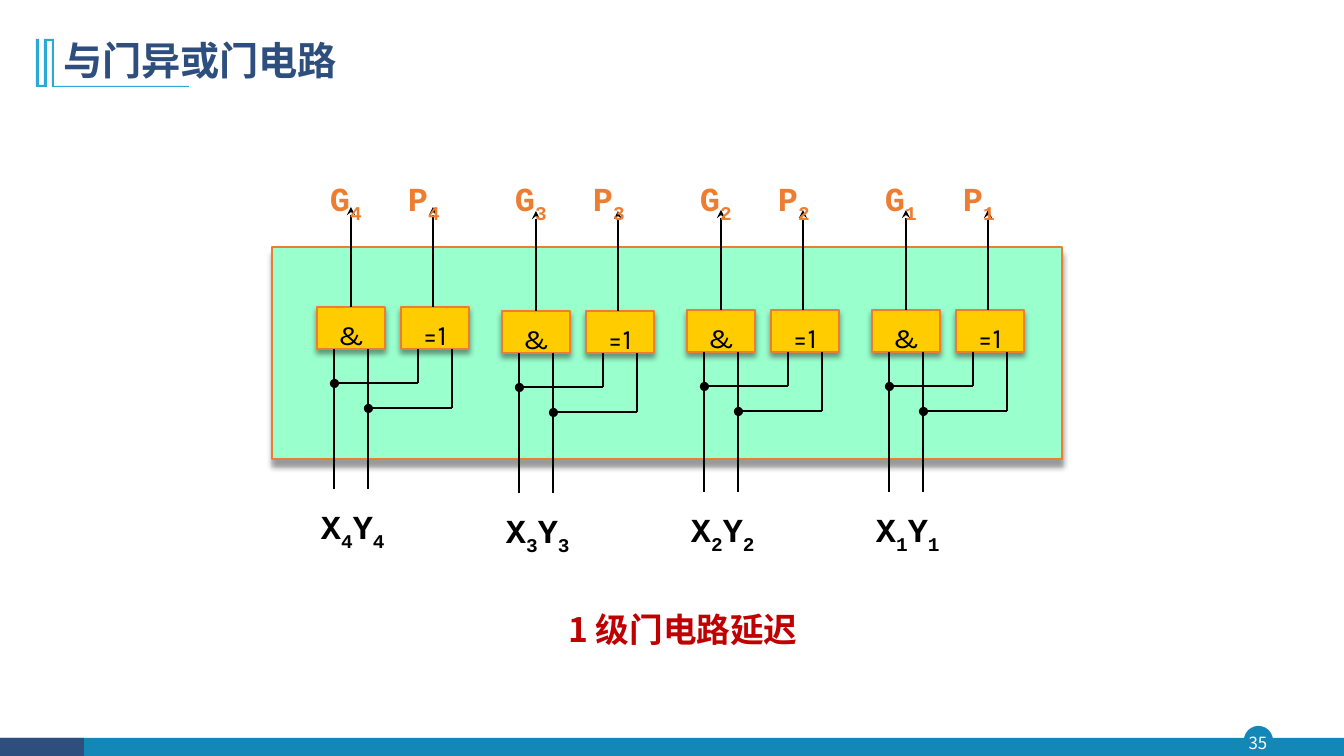
from lxml.etree import SubElement
from pptx import Presentation
from pptx.dml.color import RGBColor
from pptx.enum.shapes import MSO_CONNECTOR as CONN, MSO_SHAPE as SHAPE
from pptx.enum.text import MSO_ANCHOR as ANCHOR, PP_ALIGN as ALIGN
from pptx.oxml.ns import qn
from pptx.util import Pt

PX = 914400 / 100.8
CJK, MONO, GATE = "Noto Sans CJK SC", "Courier New", "Karla"
NAVY, TEAL, SKY, WHITE, BLACK = "2E4E7E", "1387B7", "28A9D6", "FFFFFF", "000000"
ORANGE, MINT, GOLD, RED = "ED7D31", "99FFCC", "FFCC00", "C00000"


def px(n):
    return round(n * PX)


def rgb(value):
    return RGBColor.from_string(value)


class Drawing:
    """Holds the line style and the current slide."""

    def __init__(self, slide, line_width=1.5):
        self.slide = slide
        self.shapes = slide.shapes
        self.line_width = Pt(line_width)

    def set_text(self, s, runs, font, size, color, bold=False, tab=None,
                 spacing=1.0, align=ALIGN.LEFT, **frame):
        """Fill a text frame; runs are (text, is_subscript) pairs."""
        tf = s.text_frame
        for name, value in frame.items():
            setattr(tf, name, value)
        p = tf.paragraphs[0]
        p.alignment, p.line_spacing = align, spacing
        if tab:
            tabs = SubElement(p._p.get_or_add_pPr(), qn("a:tabLst"))
            SubElement(tabs, qn("a:tab"), pos=str(px(tab)), algn="l")
        for text, subscript in runs:
            r = p.add_run()
            r.text = text
            for name, value in {"name": font, "size": Pt(size), "bold": bold}.items():
                setattr(r.font, name, value)
            r.font.color.rgb = rgb(color)
            rPr = r._r.get_or_add_rPr()
            SubElement(rPr, qn("a:ea"), typeface=font)
            if subscript:
                rPr.set("baseline", "-25000")
        return s

    def title(self, text, x, y, w, h):
        s = self.shapes.title
        s.left, s.top, s.width, s.height = map(px, (x, y, w, h))
        self.set_text(s, [(text, False)], CJK, 28, NAVY, bold=True, spacing=0.9,
                      vertical_anchor=ANCHOR.MIDDLE, word_wrap=True)

    def text(self, runs, x, y, w, h, **style):
        s = self.shapes.add_textbox(*map(px, (x, y, w, h)))
        return self.set_text(s, runs, word_wrap=True, **style)

    def shape(self, kind, x, y, w, h, fill, line=None, shadow=None):
        """Draw a preset shape; shadow is its downward distance in points."""
        s = self.shapes.add_shape(kind, *map(px, (x, y, w, h)))
        self.paint(s, fill, line)
        if shadow:
            effects = s._element.spPr.find(qn("a:effectLst"))
            outer = SubElement(effects, qn("a:outerShdw"), blurRad=str(Pt(4)),
                               dist=str(Pt(shadow)), dir="5400000", rotWithShape="0")
            color = SubElement(outer, qn("a:srgbClr"), val=BLACK)
            SubElement(color, qn("a:alpha"), val="40000")
        return s

    def outline(self, points, fill):
        builder = self.shapes.build_freeform(*points[0], scale=PX)
        builder.add_line_segments(points[1:], close=True)
        self.paint(builder.convert_to_shape(), fill)

    def paint(self, s, fill, line=None):
        s.fill.solid()
        s.fill.fore_color.rgb = rgb(fill)
        if line:
            s.line.color.rgb = rgb(line)
            s.line.width = self.line_width
        else:
            s.line.fill.background()
        s.shadow.inherit = False

    def wire(self, x1, y1, x2, y2, arrow=False, source=None):
        """Draw a straight wire, joined to the top of source when given."""
        c = self.shapes.add_connector(CONN.STRAIGHT, *map(px, (x1, y1, x2, y2)))
        c.line.color.rgb = rgb(BLACK)
        c.line.width = self.line_width
        spPr = c._element.spPr
        if arrow:
            SubElement(spPr.find(qn("a:ln")), qn("a:tailEnd"), type="stealth")
        SubElement(spPr, qn("a:effectLst"))
        if source:
            c.begin_connect(source, 0)

    def gate(self, symbol, x, y):
        s = self.shape(SHAPE.RECTANGLE, x, y, 68, 42, GOLD, ORANGE, shadow=3)
        return self.set_text(s, [(symbol, False)], GATE, 20, BLACK, spacing=1.2,
                             align=ALIGN.CENTER, word_wrap=False, margin_top=px(11),
                             vertical_anchor=ANCHOR.MIDDLE)

    def label(self, first, second, bit, x, y, w, color, tab=None):
        gap = [("\t", False)] if tab else []
        runs = [(first, False), (bit, True), *gap, (second, False), (bit, True)]
        self.text(runs, x, y, w, 42, font=MONO, size=24, color=color, bold=True,
                  tab=tab, spacing=1.2, margin_top=px(12))

    def bit_cell(self, bit, x, y):
        """Draw the AND and XOR gates of one bit with wires and labels."""
        bottom = y + 42
        self.label("X", "Y", bit, x - 6, y + 178, 134, BLACK)
        and_gate = self.gate("&", x, y)
        self.gate("=1", x + 84, y)
        # Each input runs down from the AND gate and branches to the XOR gate
        for left, right, branch in ((17, 101, 76), (51, 135, 101)):
            left, right, branch = x + left, x + right, y + branch
            self.wire(left, bottom, left, y + 182)
            self.wire(left, branch, right, branch)
            self.wire(right, bottom, right, branch)
            self.shape(SHAPE.OVAL, left - 3, branch - 3, 7, 7, BLACK, BLACK)
        # Outputs
        self.wire(x + 34, y, x + 34, y - 100, arrow=True, source=and_gate)
        self.wire(x + 116, y, x + 116, y - 100, arrow=True)
        self.label("G", "P", bit, x + 3, 157, 144, ORANGE, tab=78)


def main():
    prs = Presentation()
    prs.slide_width, prs.slide_height = px(1344), px(756)
    d = Drawing(prs.slides.add_slide(prs.slide_layouts[5]))

    # Footer and page number
    d.shape(SHAPE.OVAL, 1245, 727, 27, 27, TEAL, TEAL)
    d.shape(SHAPE.RECTANGLE, 0, 738, 1344, 18, TEAL)
    d.shape(SHAPE.RECTANGLE, 0, 738, 84, 18, NAVY)
    d.text([("35", False)], 1242, 727, 32, 31, font=CJK, size=12, color=WHITE,
           align=ALIGN.CENTER, vertical_anchor=ANCHOR.MIDDLE, margin_left=0,
           margin_right=0, margin_top=0, margin_bottom=0)

    # Title with its bracket
    d.outline([(54, 39), (54, 86), (189, 86), (189, 87), (52, 87), (52, 41),
               (47, 41), (47, 87), (36, 87), (36, 39), (39, 39), (39, 85),
               (44, 85), (44, 39)], SKY)
    d.title("与门异或门电路", 53, 28, 1159, 69)

    # Circuit, highest bit first
    d.shape(SHAPE.RECTANGLE, 272, 247, 790, 212, MINT, ORANGE, shadow=5)
    for i, top in enumerate((307, 311, 310, 310)):
        d.bit_cell(str(4 - i), 317 + 185 * i, top)

    # Caption
    d.text([("1 级门电路延迟", False)], 504, 597, 358, 54, font=CJK, size=24,
           color=RED, bold=True, align=ALIGN.CENTER, margin_top=px(12))

    prs.save("out.pptx")


if __name__ == "__main__":
    main()
